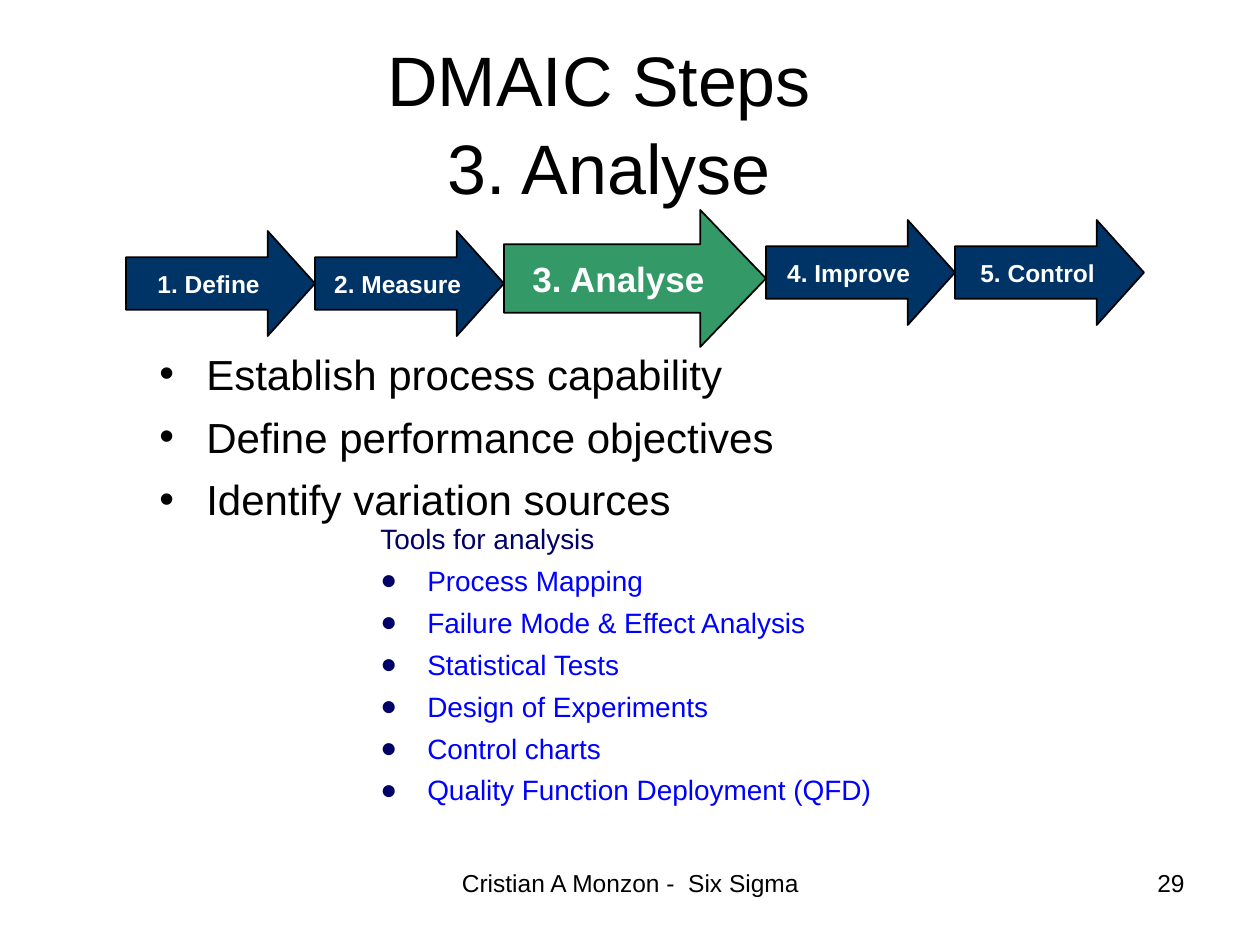
from lxml import etree
from pptx import Presentation
from pptx.dml.color import RGBColor
from pptx.enum.shapes import MSO_SHAPE
from pptx.enum.text import MSO_ANCHOR, PP_ALIGN
from pptx.oxml.ns import qn
from pptx.util import Pt

EMU_PER_PX = 914400 / 126
BLACK = RGBColor(0x00, 0x00, 0x00)
WHITE = RGBColor(0xFF, 0xFF, 0xFF)
NAVY = RGBColor(0x00, 0x33, 0x66)
GREEN = RGBColor(0x33, 0x99, 0x66)
INDIGO = RGBColor(0x00, 0x00, 0x66)
BLUE = RGBColor(0x00, 0x00, 0xFF)
LEFT, CENTER, RIGHT = PP_ALIGN.LEFT, PP_ALIGN.CENTER, PP_ALIGN.RIGHT
TOP, MIDDLE = MSO_ANCHOR.TOP, MSO_ANCHOR.MIDDLE
RIGHT_ARROW = MSO_SHAPE.RIGHT_ARROW
BULLET_INDENT = 47


def px(n):
    return round(n * EMU_PER_PX)


def add_bullet(p, char, color):
    pPr = p._p.get_or_add_pPr()
    pPr.set("marL", str(px(BULLET_INDENT)))
    pPr.set("indent", str(-px(BULLET_INDENT)))
    clr = etree.SubElement(pPr, qn("a:buClr"))
    etree.SubElement(clr, qn("a:srgbClr")).set("val", str(color))
    etree.SubElement(pPr, qn("a:buFont")).set("typeface", "Arial")
    etree.SubElement(pPr, qn("a:buChar")).set("char", char)


def write(p, text, size=14, color=BLACK, bold=False, align=LEFT,
          before=0, spacing=1.04, bullet=None, bullet_color=BLACK):
    p.alignment = align
    p.space_before = Pt(before)
    p.line_spacing = spacing
    if bullet:
        add_bullet(p, bullet, bullet_color)
    for i, line in enumerate(text.split("\n")):
        if i:
            p.add_line_break()
        r = p.add_run()
        r.text = line
        r.font.name = "Arial"
        r.font.size = Pt(size)
        r.font.bold = bold
        r.font.color.rgb = color


class SlideBuilder:
    def __init__(self, slide):
        self.s = slide

    def text(self, x, y, w, h, lines, anchor=TOP, **style):
        sp = self.s.shapes.add_textbox(px(x), px(y), px(w), px(h))
        tf = sp.text_frame
        tf.word_wrap = True
        tf.vertical_anchor = anchor
        for i, (text, extra) in enumerate(lines):
            p = tf.add_paragraph() if i else tf.paragraphs[0]
            write(p, text, **{**style, **extra})

    def arrow(self, x, y, w, h, text, fill, head, **style):
        sp = self.s.shapes.add_shape(RIGHT_ARROW, px(x), px(y), px(w), px(h))
        sp.shadow.inherit = False
        sp.adjustments[0] = 0.5
        sp.adjustments[1] = head
        sp.fill.solid()
        sp.fill.fore_color.rgb = fill
        sp.line.color.rgb = BLACK
        sp.line.width = Pt(1)
        tf = sp.text_frame
        tf.word_wrap = False
        tf.vertical_anchor = MIDDLE
        write(tf.paragraphs[0], text, color=WHITE, bold=True, align=CENTER,
              spacing=1, **style)


def main():
    prs = Presentation()
    prs.slide_width, prs.slide_height = px(1260), px(945)
    b = SlideBuilder(prs.slides.add_slide(prs.slide_layouts[6]))

    b.text(42, 53, 1134, 136, [("DMAIC Steps \n3. Analyse", {})],
           anchor=MIDDLE, size=40, align=CENTER)

    goals = ["Establish process capability", "Define performance objectives",
             "Identify variation sources"]
    b.text(147, 340, 1061, 557, [(goal, {}) for goal in goals],
           size=24, before=6, bullet="•")

    tools = ["Process Mapping", "Failure Mode & Effect Analysis",
             "Statistical Tests", "Design of Experiments", "Control charts",
             "Quality Function Deployment (QFD)"]
    item = {"color": BLUE, "bullet": "●", "bullet_color": INDIGO}
    b.text(368, 514, 620, 290,
           [("Tools for analysis", {"color": INDIGO})]
           + [(tool, item) for tool in tools], size=16, before=4)

    x = 126
    for step, y in [("1. Define", 231), ("2. Measure", 231),
                    ("3. Analyse", 210), ("4. Improve", 220),
                    ("5. Control", 220)]:
        if step == "3. Analyse":
            w = 262
            b.arrow(x, y, w, 137, step, GREEN, 0.48, size=20, before=5)
        else:
            w = 189
            b.arrow(x, y, w, 105, step, NAVY, 0.45, size=14, before=3.5)
        x += w

    b.text(431, 861, 399, 66, [("Cristian A Monzon -  Six Sigma", {})],
           align=CENTER)
    b.text(903, 861, 294, 66, [("29", {})], align=RIGHT)

    prs.save("out.pptx")


if __name__ == "__main__":
    main()
